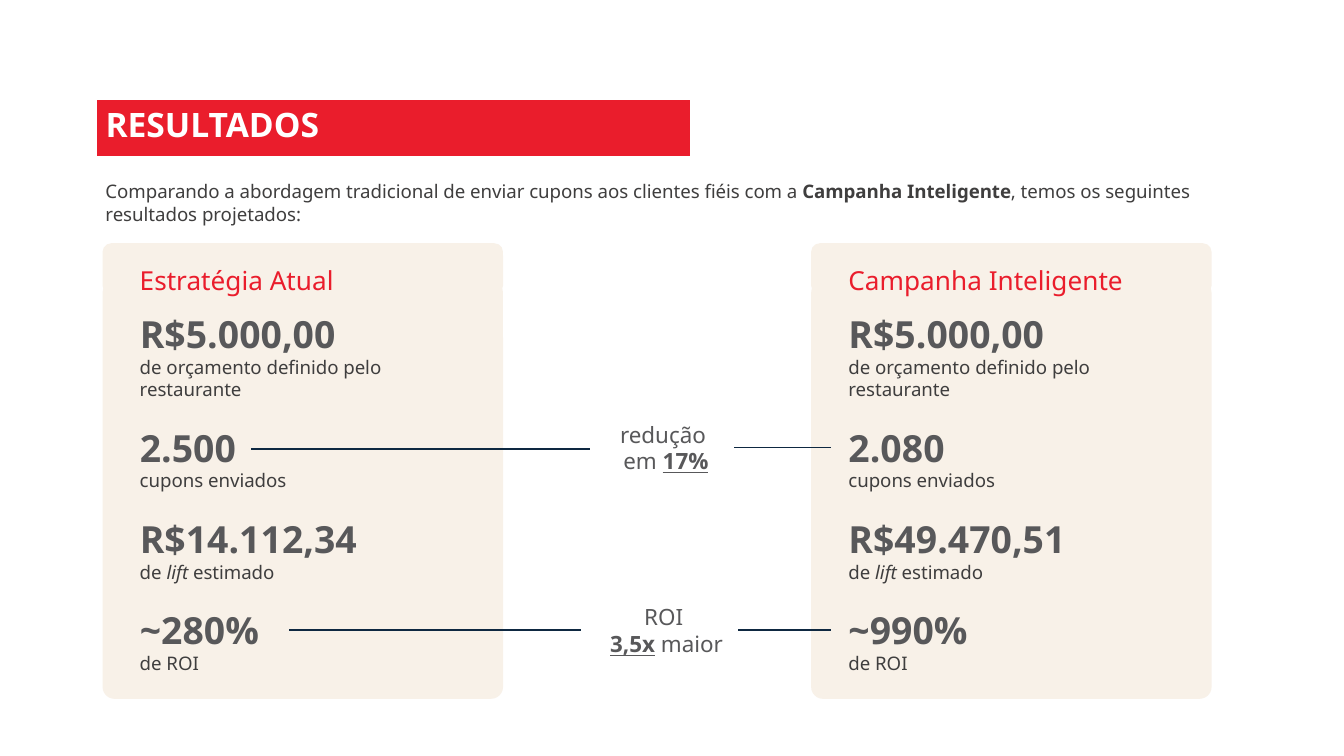
from lxml.etree import SubElement
from pptx import Presentation
from pptx.dml.color import RGBColor
from pptx.enum.shapes import MSO_CONNECTOR, MSO_SHAPE
from pptx.enum.text import MSO_ANCHOR, MSO_AUTO_SIZE, PP_ALIGN
from pptx.oxml.ns import qn
from pptx.util import Inches, Pt

THEME = {
    "font": "Noto Sans",
    "red": RGBColor.from_string("EA1D2C"),
    "cream": RGBColor.from_string("F8F1E8"),
    "white": RGBColor.from_string("FFFFFF"),
    "body": RGBColor.from_string("3F3E3E"),
    "figure": RGBColor.from_string("58585A"),
    "navy": RGBColor.from_string("0E2841"),
    "title_size": 18,
    "figure_size": 20,
    "heading_size": 14,
    "link_size": 12,
    "body_size": 10,
}

# Widescreen slide, 16 by 9
presentation = Presentation()
presentation.slide_width = Inches(10)
presentation.slide_height = presentation.slide_width * 9 // 16
slide = presentation.slides.add_slide(presentation.slide_layouts[5])

# Square grid: one hundred columns across the slide, rows of the same size
unit = presentation.slide_width / 100


def grid(*cells):
    return [round(cell * unit) for cell in cells]


def write(shape, lines, size, color, align=PP_ALIGN.LEFT, space_after=10):
    """Fill a shape with lines of runs; each run is (text, styles from "b", "i", "u")."""
    frame = shape.text_frame
    frame.word_wrap = True
    frame.auto_size = MSO_AUTO_SIZE.SHAPE_TO_FIT_TEXT
    frame.vertical_anchor = MSO_ANCHOR.TOP
    frame.margin_left = frame.margin_right = Inches(0.07)
    frame.margin_top = frame.margin_bottom = Inches(0.04)
    for index, runs in enumerate(lines):
        paragraph = frame.add_paragraph() if index else frame.paragraphs[0]
        paragraph.alignment = align
        paragraph.space_after = Pt(space_after if index == len(lines) - 1 else 0)
        for text, styles in runs:
            run = paragraph.add_run()
            run.text = text
            run.font.name = THEME["font"]
            run.font.size = Pt(THEME[size])
            run.font.color.rgb = THEME[color]
            run.font.bold = "b" in styles
            run.font.italic = "i" in styles
            run.font.underline = "u" in styles


# Title on its red banner
title = slide.shapes.title
title.left, title.top, title.width, title.height = grid(7.15, 7.3, 38.1, 3.8)
write(title, [[("RESULTADOS", "b")]], "title_size", "white", space_after=0)
banner = slide.shapes.add_shape(MSO_SHAPE.RECTANGLE, *grid(7.15, 7.35, 44.3, 4.4))
banner.shadow.inherit = False
banner.fill.solid()
banner.fill.fore_color.rgb = THEME["red"]
banner.line.color.rgb = THEME["white"]
banner.line.width = Pt(1.5)
title.element.addprevious(banner.element)

# Introduction
introduction = slide.shapes.add_textbox(*grid(7.15, 13, 85, 4.1))
write(introduction, [[
    ("Comparando a abordagem tradicional de enviar cupons aos clientes fiéis com a ", ""),
    ("Campanha Inteligente", "b"),
    (", temos os seguintes resultados projetados:", ""),
]], "body_size", "body")

# Strategy cards: heading and four figures, each with its caption
captions = [
    [("de orçamento definido pelo restaurante", "")],
    [("cupons enviados", "")],
    [("de ", ""), ("lift", "i"), (" estimado", "")],
    [("de ROI", "")],
]
figure_rows = [22.75, 31.2, 38, 44.8]
cards = [
    (7.63, 9.7, "Estratégia Atual", ["R$5.000,00", "2.500", "R$14.112,34", "~280%"]),
    (60.35, 62.43, "Campanha Inteligente", ["R$5.000,00", "2.080", "R$49.470,51", "~990%"]),
]
for card_left, text_left, heading, figures in cards:
    for top, height, corner in [(20.9, 31.1, 0.03), (18.1, 3.8, 0.17)]:
        panel = slide.shapes.add_shape(
            MSO_SHAPE.ROUNDED_RECTANGLE, *grid(card_left, top, 29.8, height))
        panel.adjustments[0] = corner
        panel.shadow.inherit = False
        panel.fill.solid()
        panel.fill.fore_color.rgb = THEME["cream"]
        panel.line.fill.background()
    heading_box = slide.shapes.add_textbox(*grid(text_left, 19.3, 27.3, 3.1))
    write(heading_box, [[(heading, "")]], "heading_size", "red")
    for row, figure, caption in zip(figure_rows, figures, captions):
        figure_box = slide.shapes.add_textbox(*grid(text_left, row, 18.8, 4.1))
        write(figure_box, [[(figure, "b")]], "figure_size", "figure")
        caption_height = 4.1 if row == figure_rows[0] else 2.4
        caption_box = slide.shapes.add_textbox(
            *grid(text_left, row + 3.3, 23.6, caption_height))
        write(caption_box, [caption], "body_size", "body")

# Comparisons between the cards
comparisons = [
    ((44.2, 30.9, 10.7, 4.8), [[("redução ", "")], [("em ", ""), ("17%", "bu")]]),
    ((43.2, 44.5, 12.8, 4.8), [[("ROI ", "")], [("3,5x", "bu"), (" maior", "")]]),
]
for cells, lines in comparisons:
    comparison = slide.shapes.add_textbox(*grid(*cells))
    write(comparison, lines, "link_size", "figure", PP_ALIGN.CENTER)

# Lines from the figures to the comparisons: start, end, row
for start, end, row in [(43.9, 18.7, 33.42), (61.8, 54.6, 33.3),
                        (43.2, 21.5, 46.88), (61.8, 54.9, 46.88)]:
    connector = slide.shapes.add_connector(
        MSO_CONNECTOR.STRAIGHT, *grid(start, row, end, row))
    connector.line.color.rgb = THEME["navy"]
    connector.line.width = Pt(0.75)
    SubElement(connector.element.spPr, qn("a:effectLst"))

presentation.save("out.pptx")
